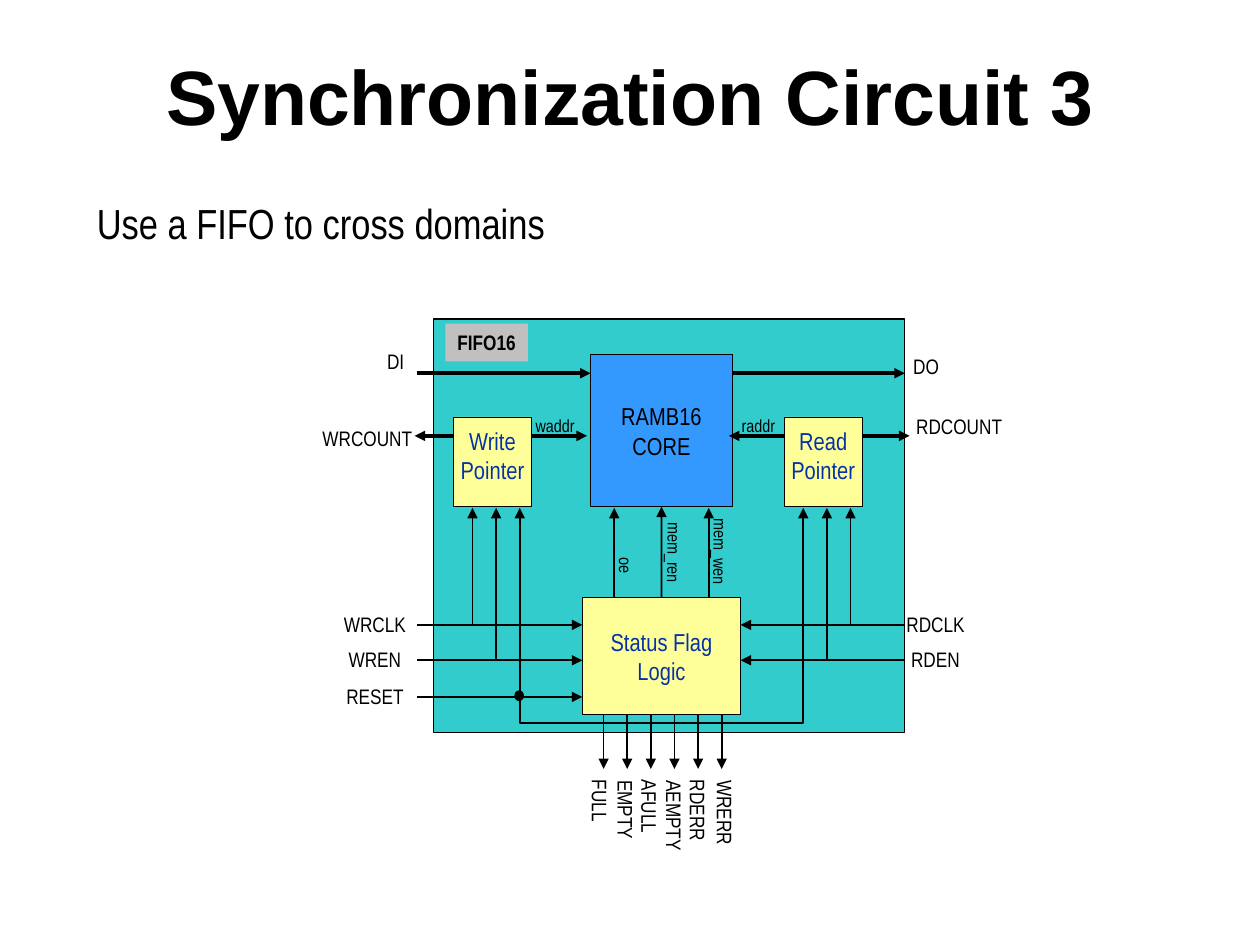
from lxml import etree
from pptx import Presentation
from pptx import util as u
from pptx.dml.color import RGBColor
from pptx.enum import shapes, text
from pptx.oxml.ns import qn

COLORS = {"ink": "000000", "label": "0533A7", "chip": "33CCCC",
          "logic": "FFFF99", "core": "3399FF", "tag": "C0C0C0"}
RGB = {name: RGBColor.from_string(value) for name, value in COLORS.items()}
NARROW = "Arial Narrow"
CELL = u.Inches(3 / 16)  # signal pitch of the block diagram


def cells(*counts):
    """Convert grid columns and rows to slide lengths."""
    return [round(count * CELL) for count in counts]


def write(frame, words, size, color="ink", bold=False, font=NARROW,
          align=text.PP_ALIGN.CENTER):
    frame.text = words
    frame.auto_size = text.MSO_AUTO_SIZE.NONE
    frame.vertical_anchor = text.MSO_ANCHOR.MIDDLE
    for paragraph in frame.paragraphs:
        paragraph.alignment = align
        for run in paragraph.runs:
            run.font.size = u.Pt(size)
            run.font.name = font
            run.font.bold = bold
            run.font.color.rgb = RGB[color]


prs = Presentation()
prs.slide_width, prs.slide_height = u.Inches(10), u.Inches(7.5)
W, H = prs.slide_width, prs.slide_height
slide = prs.slides.add_slide(prs.slide_layouts[5])

# Title and bullet
title = slide.shapes.title
title.left, title.top = round(W * 0.067), round(H * 0.028)
title.width, title.height = round(W * 0.867), round(H * 0.144)
write(title.text_frame, "Synchronization Circuit 3", 44, bold=True, font="Arial")

advice = slide.shapes.add_textbox(round(W * 0.067), round(H * 0.203),
                                  round(W * 0.85), round(H * 0.095)).text_frame
advice.word_wrap = True
advice.text = "Use a FIFO to cross domains"
bullet_props = advice.paragraphs[0]._p.get_or_add_pPr()
bullet_props.set("marL", str(u.Inches(0.38)))
bullet_props.set("indent", str(-u.Inches(0.38)))
etree.SubElement(bullet_props, qn("a:buSzPct")).set("val", "105000")
etree.SubElement(bullet_props, qn("a:buFont")).set("typeface", "Arial")
etree.SubElement(bullet_props, qn("a:buChar")).set("char", "•")
write(advice, advice.text, 24, align=text.PP_ALIGN.LEFT)
advice.vertical_anchor = text.MSO_ANCHOR.TOP

# Blocks: words, left, top, width, height, fill, line width, size, text colour
blocks = {}
for words, left, top, width, height, fill, line, size, color in [
    ("", 18.35, 13.5, 19.95, 17.5, "chip", 0.75, 12, "ink"),
    ("Read\nPointer", 33.2, 17.65, 3.3, 3.8, "logic", 0.25, 14, "label"),
    ("Write\nPointer", 19.2, 17.65, 3.3, 3.8, "logic", 0.25, 14, "label"),
    ("Status Flag\nLogic", 24.65, 25.3, 6.7, 4.95, "logic", 0.25, 14, "label"),
    ("RAMB16\nCORE", 25, 15, 6, 6.45, "core", 0.75, 14, "ink"),
    ("FIFO16", 18.85, 13.7, 3.5, 1.6, "tag", 0, 12, "ink"),
]:
    block = slide.shapes.add_shape(shapes.MSO_SHAPE.RECTANGLE,
                                   *cells(left, top, width, height))
    block.shadow.inherit = False
    block.fill.solid()
    block.fill.fore_color.rgb = RGB[fill]
    if line:
        block.line.color.rgb = RGB["ink"]
        block.line.width = u.Pt(line)
    else:
        block.line.fill.background()
    if words:
        write(block.text_frame, words, size, color, bold=fill == "tag")
        block.text_frame.word_wrap = False
    if words.endswith("Pointer"):
        block.text_frame.margin_bottom = u.Inches(0.15)
    blocks[words] = block

# Signals: column and row of the start, then of the end, and line width
POINTER_ROW, DATA_ROW, BLOCK_BOTTOM = 18.45, 15.8, 21.5
CLK_ROW, EN_ROW, RESET_ROW = 26.45, 27.95, 29.5
signals = [
    (19.2, POINTER_ROW, 17.55, POINTER_ROW, 2),
    (36.5, POINTER_ROW, 38.5, POINTER_ROW, 2),
    (22.5, POINTER_ROW, 24.85, POINTER_ROW, 2),
    (33.2, POINTER_ROW, 30.85, POINTER_ROW, 2),
    (17.65, DATA_ROW, 25, DATA_ROW, 2),
    (31, DATA_ROW, 38.3, DATA_ROW, 2),
]
signals += [(17.65, row, 24.65, row, 1) for row in (CLK_ROW, EN_ROW, RESET_ROW)]
signals += [(38.3, row, 31.35, row, 1) for row in (CLK_ROW, EN_ROW)]
signals += [(column, row, column, BLOCK_BOTTOM, 1) for column, row in [
    (20, CLK_ROW), (21, EN_ROW), (22, RESET_ROW), (35, EN_ROW), (36, CLK_ROW)]]
signals += [(column, 25.3, column, BLOCK_BOTTOM, 1) for column in (26, 30)]
signals += [(25.55 + flag, 30.25, 25.55 + flag, 32.55, 1) for flag in range(6)]

arrows = [(slide.shapes.add_connector(shapes.MSO_CONNECTOR.STRAIGHT, *cells(*ends)), width)
          for *ends, width in signals]

read_enable = slide.shapes.add_connector(shapes.MSO_CONNECTOR.STRAIGHT,
                                         *cells(28, 25.3, 28, BLOCK_BOTTOM))
read_enable.begin_connect(blocks["Status Flag\nLogic"], 0)
read_enable.end_connect(blocks["RAMB16\nCORE"], 2)
arrows.append((read_enable, 1))

route = slide.shapes.build_freeform(*cells(22, RESET_ROW))
route.add_line_segments([cells(22, 30.6), cells(34, 30.6), cells(34, BLOCK_BOTTOM)],
                        close=False)
reset_path = route.convert_to_shape()
reset_path.fill.background()
reset_path.shadow.inherit = False
arrows.append((reset_path, 1.25))

for arrow, width in arrows:
    arrow.line.color.rgb = RGB["ink"]
    arrow.line.width = u.Pt(width)
    props = arrow._element.spPr
    etree.SubElement(props.get_or_add_ln(), qn("a:tailEnd")).set("type", "triangle")
    if props.find(qn("a:effectLst")) is None:
        etree.SubElement(props, qn("a:effectLst"))

junction = slide.shapes.add_shape(shapes.MSO_SHAPE.OVAL, *cells(21.8, 29.25, 0.35, 0.4))
junction.shadow.inherit = False
junction.fill.solid()
junction.fill.fore_color.rgb = RGB["ink"]
junction.line.color.rgb = RGB["ink"]
junction.line.width = u.Pt(0.75)

# Labels: words, centre column, centre row, width, size, rotation
labels = [
    ("WRCOUNT", 15.55, 18.55, 4.85, 12, 0),
    ("RDCOUNT", 40.6, 18.05, 4.7, 12, 0),
    ("WRCLK", 15.87, 26.4, 3.7, 12, 0),
    ("WREN", 15.87, 27.9, 3.25, 12, 0),
    ("RESET", 15.87, 29.45, 3.45, 12, 0),
    ("RDCLK", 39.6, 26.4, 3.5, 12, 0),
    ("RDEN", 39.6, 27.9, 3.1, 12, 0),
    ("DI", 16.75, 15.3, 1.75, 12, 0),
    ("DO", 39.2, 15.5, 2.15, 12, 0),
    ("waddr", 23.5, 18, 2.7, 10, 0),
    ("raddr", 32.1, 18, 2.45, 10, 0),
    ("oe", 26.5, 23.95, 1.7, 10, 90.7),
    ("mem_ren", 28.55, 23.4, 4.6, 10, 90.7),
    ("mem_wen", 30.5, 23.35, 4.95, 10, 90.7),
]
labels += [(flag, column, 32.5 + length / 2, length, 12, 90) for flag, column, length in [
    ("FULL", 25.4, 2.8), ("EMPTY", 26.5, 3.55), ("AFULL", 27.5, 3.3),
    ("AEMPTY", 28.55, 4.05), ("RDERR", 29.55, 3.6), ("WRERR", 30.7, 3.8)]]
for words, column, row, width, size, rotation in labels:
    height = 1.6 if size == 12 else 1.45
    label = slide.shapes.add_textbox(
        *cells(column - width / 2, row - height / 2, width, height))
    label.rotation = rotation
    write(label.text_frame, words, size)
    label.text_frame.word_wrap = False

prs.save("out.pptx")
